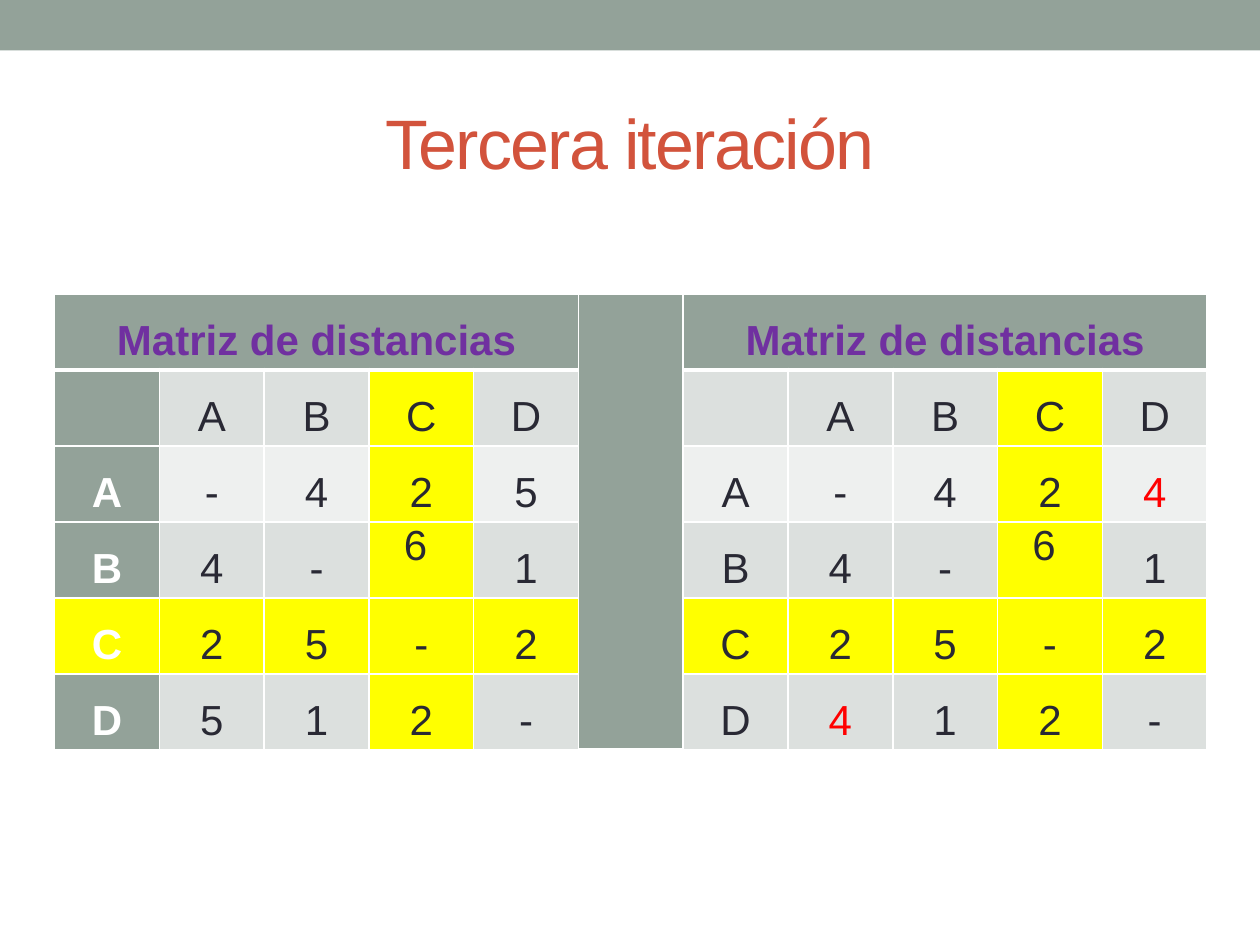
from pptx import Presentation
from pptx.dml.color import RGBColor
from pptx.enum import shapes, text
from pptx.oxml import parse_xml
from pptx.oxml.ns import nsdecls
from pptx.util import Pt

FONT = "Arial"
SAGE = RGBColor(0x93, 0xA2, 0x99)
GREY = RGBColor(0xDC, 0xE0, 0xDE)
PALE = RGBColor(0xEE, 0xF0, 0xEF)
YELLOW = RGBColor(0xFF, 0xFF, 0x00)
WHITE = RGBColor(0xFF, 0xFF, 0xFF)
INK = RGBColor(0x29, 0x29, 0x34)
RED = RGBColor(0xFF, 0x00, 0x00)
PURPLE = RGBColor(0x70, 0x30, 0xA0)
RUST = RGBColor(0xD2, 0x53, 0x3C)

HEADING = "Matriz de distancias"
BEFORE = [
    ["", "A", "B", "C", "D"],
    ["A", "-", "4", "2", "5"],
    ["B", "4", "-", "6 ", "1"],
    ["C", "2", "5", "-", "2"],
    ["D", "5", "1", "2", "-"],
]
AFTER = [
    ["", "A", "B", "C", "D"],
    ["A", "-", "4", "2", "4"],
    ["B", "4", "-", "6 ", "1"],
    ["C", "2", "5", "-", "2"],
    ["D", "4", "1", "2", "-"],
]
SIZE = len(BEFORE)
GAP_COL = SIZE
AFTER_COL = SIZE + 1
PIVOT = 3  # row and column of node C
COL_W, ROW_H = 59.88, 43.45


def add_banner(s):
    sp = s.shapes.add_shape(shapes.MSO_SHAPE.RECTANGLE, 0, 0, Pt(720), Pt(28.8))
    sp.shadow.inherit = False
    sp.fill.solid()
    sp.fill.fore_color.rgb = SAGE
    sp.line.fill.background()


def set_title(s, wording):
    sp = s.shapes.title
    sp.left, sp.top, sp.width, sp.height = Pt(36), Pt(41.75), Pt(648), Pt(78)
    tf = sp.text_frame
    tf.text = wording
    tf.vertical_anchor = text.MSO_ANCHOR.MIDDLE
    p = tf.paragraphs[0]
    p.alignment = text.PP_ALIGN.CENTER
    r = p.runs[0]
    r.font.name, r.font.size = FONT, Pt(40)
    r.font.color.rgb = RUST
    r._r.get_or_add_rPr().set("spc", "-100")


def set_borders(cell, bottom=1):
    """Draw white borders; call before the fill, which must follow them."""
    tc_pr = cell._tc.get_or_add_tcPr()
    for side, width in (("L", 1), ("R", 1), ("T", 1), ("B", bottom)):
        tc_pr.append(parse_xml(
            f'<a:ln{side} {nsdecls("a")} w="{Pt(width)}"><a:solidFill>'
            f'<a:srgbClr val="{WHITE}"/></a:solidFill></a:ln{side}>'))


def paint_cell(cell, fill, bottom=1):
    set_borders(cell, bottom)
    cell.fill.solid()
    cell.fill.fore_color.rgb = fill
    cell.margin_left = cell.margin_right = Pt(5)
    cell.margin_top = cell.margin_bottom = 0


def write_cell(cell, wording, color, bold=False, spacing=1.5):
    cell.text = wording
    p = cell.text_frame.paragraphs[0]
    p.alignment = text.PP_ALIGN.CENTER
    p.line_spacing = spacing
    for r in p.runs:
        r.font.name, r.font.size, r.font.bold = FONT, Pt(24), bold
        r.font.color.rgb = color


def cell_fill(row, col, sage_labels):
    if PIVOT + 1 == row or col == PIVOT:
        return YELLOW
    if sage_labels and col == 0:
        return SAGE
    return PALE if row == 2 else GREY


def fill_matrix(table, values, first_col, sage_labels):
    """Write one matrix below its heading; values that changed are red."""
    for i, line in enumerate(values):
        for j, value in enumerate(line):
            cell = table.cell(i + 1, first_col + j)
            paint_cell(cell, cell_fill(i + 1, j, sage_labels))
            label = sage_labels and j == 0
            changed = value != BEFORE[i][j]
            color = WHITE if label else RED if changed else INK
            if value:
                write_cell(cell, value, color, label,
                           1.0 if value == "6 " else 1.5)


def add_matrices(s):
    rows, cols = SIZE + 1, 2 * SIZE + 1
    table = s.shapes.add_table(rows, cols, Pt(31.2), Pt(168), Pt(COL_W * cols),
                               Pt(ROW_H * rows)).table
    table.first_row = table.horz_banding = False
    for col in table.columns:
        col.width = Pt(COL_W)
    for row in table.rows:
        row.height = Pt(ROW_H)

    for j in range(cols):
        paint_cell(table.cell(0, j), SAGE, bottom=3)
    for i in range(1, rows):
        paint_cell(table.cell(i, GAP_COL), SAGE)
    table.cell(0, GAP_COL).merge(table.cell(rows - 1, GAP_COL))

    for values, first_col in ((BEFORE, 0), (AFTER, AFTER_COL)):
        heading = table.cell(0, first_col)
        heading.merge(table.cell(0, first_col + SIZE - 1))
        write_cell(heading, HEADING, PURPLE, bold=True)
        fill_matrix(table, values, first_col, sage_labels=first_col == 0)


def main():
    prs = Presentation()
    prs.slide_width, prs.slide_height = Pt(720), Pt(540)
    s = prs.slides.add_slide(prs.slide_layouts[5])
    add_banner(s)
    set_title(s, "Tercera iteración")
    add_matrices(s)
    prs.save("out.pptx")


if __name__ == "__main__":
    main()
